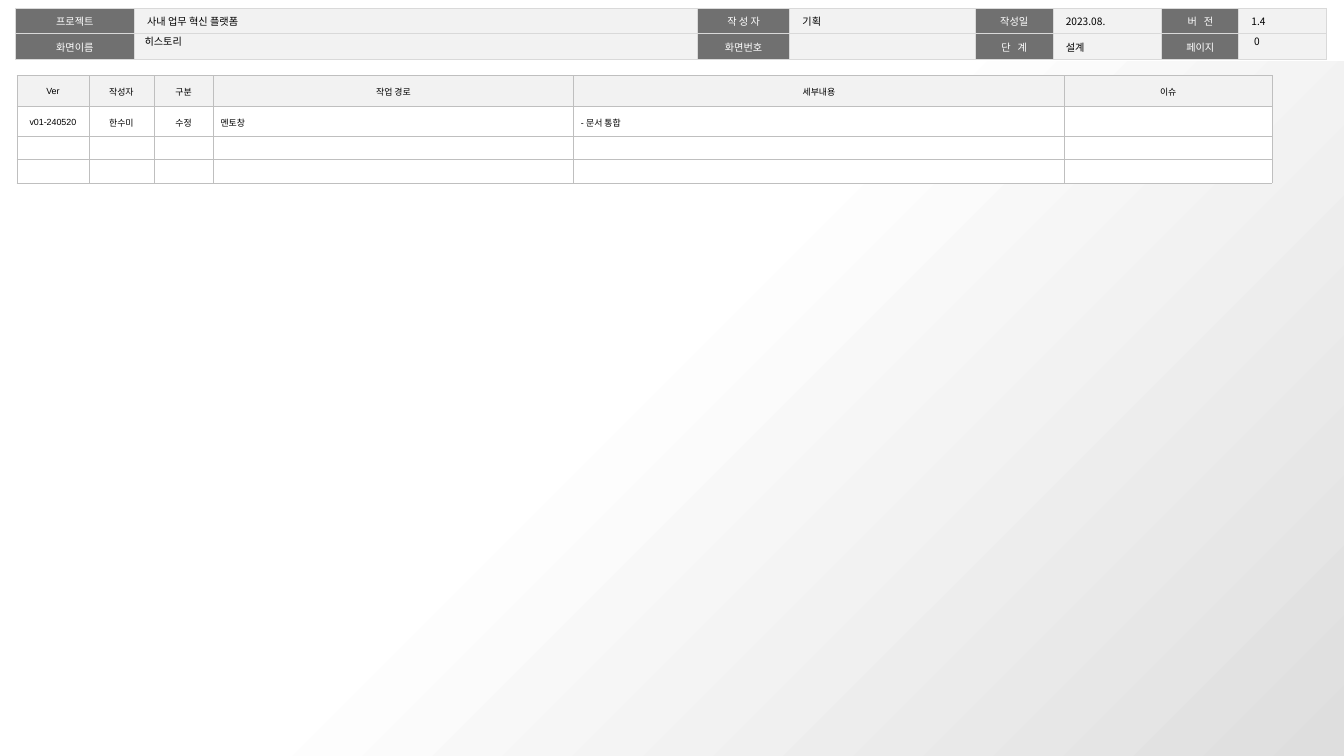
from dataclasses import dataclass

from lxml.etree import SubElement
from pptx import Presentation
from pptx.dml.color import RGBColor
from pptx.enum.shapes import MSO_SHAPE
from pptx.enum.text import MSO_ANCHOR, MSO_AUTO_SIZE, PP_ALIGN
from pptx.oxml.ns import qn
from pptx.util import Pt


@dataclass(frozen=True)
class Theme:
    black: str = "000000"
    white: str = "FFFFFF"
    label: str = "707070"
    pale: str = "F2F2F2"
    shade: str = "DEDEDE"
    header_line: str = "D9D9D9"
    history_line: str = "BFBFBF"
    korean: str = "Noto Sans CJK KR"
    latin: str = "Arial"
    header_size: float = 8
    history_size: float = 7


THEME = Theme()

HEADER_WIDTHS = [93.6, 443.5, 72.7, 146.2, 61.2, 85.7, 60.5, 69.1]
HEADER_HEIGHTS = [19.8, 20.2]
HEADER_ROWS = [
    ["프로젝트", "사내 업무 혁신 플랫폼", "작 성 자", "기획", "작성일", "2023.08.", "버 전", "1.4"],
    ["화면이름", "", "화면번호", "", "단 계", "설계", "페이지", ""],
]
SPREAD_LABELS = {"버 전", "단 계"}

HISTORY_WIDTHS = [56.9, 51.1, 46.8, 283.7, 386.6, 163.4]
HISTORY_HEIGHTS = [24.2, 24, 18, 18.5]
HISTORY_ROWS = [
    ["Ver", "작성자", "구분", "작업 경로", "세부내용", "이슈"],
    ["v01-240520", "한수미", "수정", "멘토창", "- 문서 통합", ""],
    [""] * 6,
    [""] * 6,
]


def rgb(color):
    return RGBColor.from_string(color)


def style_paragraph(paragraph, size, face, color=THEME.black, align=PP_ALIGN.LEFT):
    paragraph.alignment = align
    font = paragraph.font
    font.size = Pt(size)
    font.name = face
    font.bold = False
    font.color.rgb = rgb(color)
    defaults = paragraph._p.pPr.find(qn("a:defRPr"))
    SubElement(defaults, qn("a:ea")).set("typeface", THEME.korean)


def border_cell(cell, color, width):
    properties = cell._tc.get_or_add_tcPr()
    for side in ("lnL", "lnR", "lnT", "lnB"):
        line = SubElement(properties, qn(f"a:{side}"), w=str(Pt(width)))
        SubElement(SubElement(line, qn("a:solidFill")), qn("a:srgbClr")).set("val", color)


def fill_cell(cell, text, fill, margins, spacing, size, face, color, align):
    cell.fill.solid()
    cell.fill.fore_color.rgb = rgb(fill)
    cell.margin_left = cell.margin_right = Pt(margins[0])
    cell.margin_top, cell.margin_bottom = Pt(margins[1]), Pt(margins[2])
    cell.vertical_anchor = MSO_ANCHOR.MIDDLE
    paragraph = cell.text_frame.paragraphs[0]
    if text:
        paragraph.text = text
        paragraph.line_spacing = spacing
    else:
        SubElement(paragraph._p, qn("a:endParaRPr")).set("sz", str(int(size * 100)))
    style_paragraph(paragraph, size, face, color, align)


def add_grid(slide, left, top, widths, heights, line_color, line_width):
    frame = slide.shapes.add_table(
        len(heights), len(widths), Pt(left), Pt(top), Pt(sum(widths)), Pt(sum(heights))
    )
    grid = frame.table
    grid.first_row = grid.horz_banding = False
    for column, width in zip(grid.columns, widths):
        column.width = Pt(width)
    for row, height in zip(grid.rows, heights):
        row.height = Pt(height)
    for cell in grid.iter_cells():
        border_cell(cell, line_color, line_width)
    return grid


def add_header(slide):
    header = add_grid(slide, 12.2, 6.6, HEADER_WIDTHS, HEADER_HEIGHTS, THEME.header_line, 1)
    for r, texts in enumerate(HEADER_ROWS):
        for c, text in enumerate(texts):
            is_label = c % 2 == 0
            cell = header.cell(r, c)
            fill_cell(
                cell, text, THEME.label if is_label else THEME.pale,
                (10, 3.6, 3.6), 1.05, THEME.header_size, THEME.korean,
                THEME.white if is_label else THEME.black,
                PP_ALIGN.CENTER if is_label else PP_ALIGN.LEFT,
            )
            if text in SPREAD_LABELS:
                label_run = cell.text_frame.paragraphs[0].runs[0]
                label_run._r.get_or_add_rPr().set("spc", "180")


def add_history(slide):
    history = add_grid(slide, 13.2, 59.4, HISTORY_WIDTHS, HISTORY_HEIGHTS, THEME.history_line, 0.25)
    for r, texts in enumerate(HISTORY_ROWS):
        for c, text in enumerate(texts):
            centered = r == 0 or c < 3
            fill_cell(
                history.cell(r, c), text, THEME.pale if r == 0 else THEME.white,
                (5.7, 2.8, 5.7), 1.5, THEME.history_size, THEME.latin, THEME.black,
                PP_ALIGN.CENTER if centered else PP_ALIGN.LEFT,
            )


def add_backdrop(slide):
    backdrop = slide.shapes.add_shape(MSO_SHAPE.RECTANGLE, 0, Pt(48.24), Pt(1058.4), Pt(547.2))
    backdrop.shadow.inherit = False
    backdrop.line.fill.background()
    backdrop.fill.gradient()
    backdrop.fill.gradient_angle = 315
    stops = [(0.45, THEME.white), (1, THEME.shade)]
    for stop, (position, color) in zip(backdrop.fill.gradient_stops, stops):
        stop.position = position
        stop.color.rgb = rgb(color)


def set_header_value(box, text, left, width):
    box.left, box.top, box.width, box.height = Pt(left), Pt(26.8), Pt(width), Pt(11.5)
    frame = box.text_frame
    frame.text = text
    frame.word_wrap = True
    frame.auto_size = MSO_AUTO_SIZE.NONE
    frame.vertical_anchor = MSO_ANCHOR.MIDDLE
    style_paragraph(frame.paragraphs[0], THEME.header_size, THEME.korean)


def main():
    deck = Presentation()
    deck.slide_width, deck.slide_height = Pt(1058.4), Pt(595.44)
    slide = deck.slides.add_slide(deck.slide_layouts[5])
    screen_name = slide.shapes.title
    add_header(slide)
    add_backdrop(slide)
    page_number = slide.shapes.add_textbox(0, 0, 0, 0)
    set_header_value(page_number, "0", 980.6, 51.8)
    set_header_value(screen_name, "히스토리", 106.6, 390.2)
    page_number._element.addnext(screen_name._element)
    add_history(slide)
    deck.save("out.pptx")


if __name__ == "__main__":
    main()
